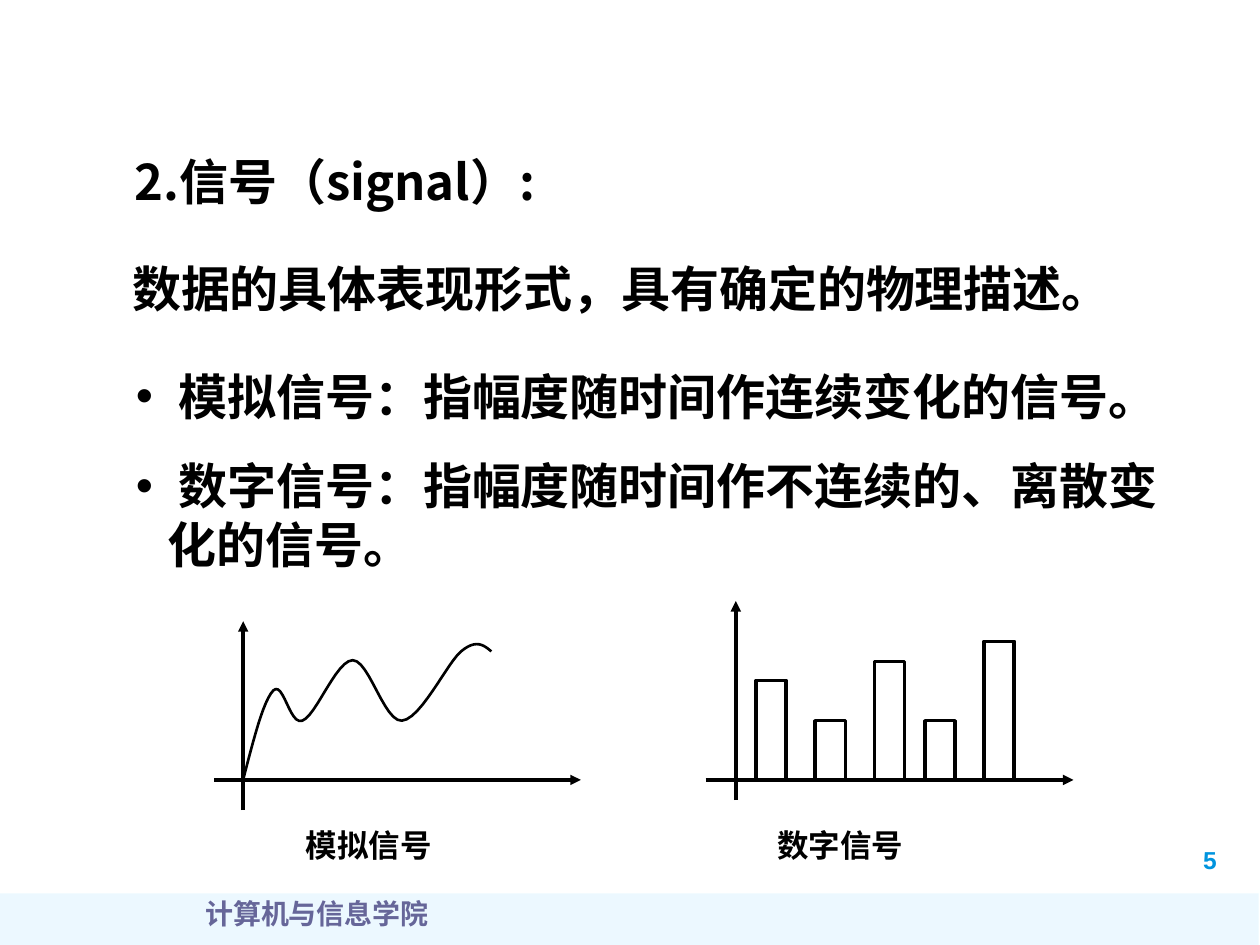
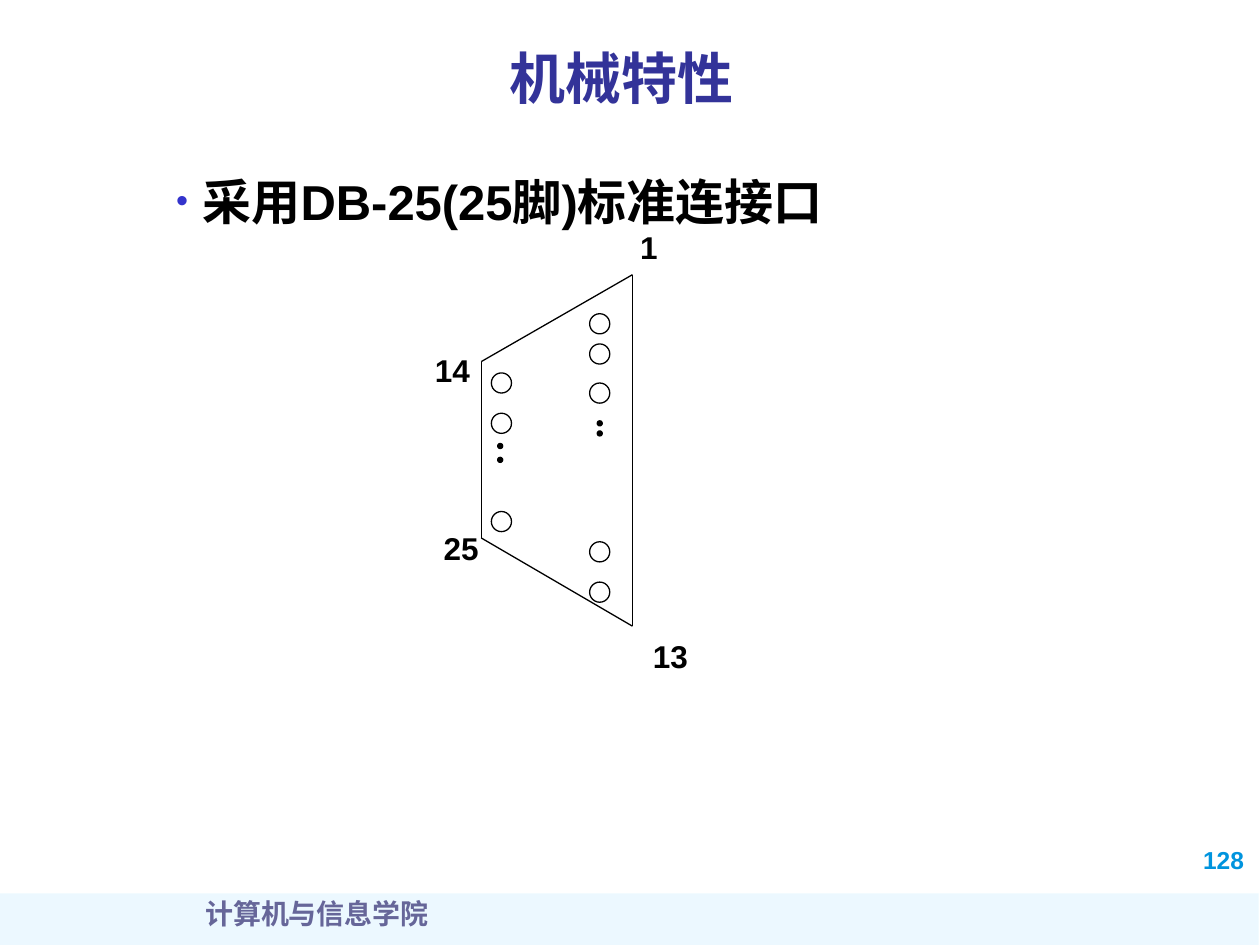
from itertools import pairwise

from lxml.etree import SubElement
from pptx import Presentation
from pptx.dml.color import RGBColor
from pptx.enum.shapes import MSO_CONNECTOR, MSO_SHAPE
from pptx.enum.text import MSO_ANCHOR, PP_ALIGN
from pptx.oxml.ns import qn
from pptx.util import Inches, Pt

COLORS = {"ink": "000000", "paper": "FFFFFF", "band": "A7E2FF", "page": "0094DE",
          "school": "666699", "title": "333399", "bullet": "3333CC"}
CJK, SANS, SERIF = "Noto Sans CJK SC", "Arial", "Times New Roman"
SCHOOL = "计算机与信息学院"

# Signals slide: text, box, bullet
SIGNAL_TEXTS = [
    ("2.信号（signal）:", (0.97, 1.15, 7.56, 0.57), False),
    (" 模拟信号：指幅度随时间作连续变化的信号。", (0.98, 2.86, 9.14, 0.57), True),
    (" 数字信号：指幅度随时间作不连续的、离散变化的信号。", (0.98, 3.57, 8.66, 1.04), True),
    ("数据的具体表现形式，具有确定的物理描述。", (0.95, 2, 8.09, 0.57), False),
]
BASELINE = 6.19
ANALOG_AXES = [((1.7, BASELINE), (4.61, BASELINE)), ((1.93, 6.43), (1.93, 4.93))]
DIGITAL_AXES = [((5.84, 6.35), (5.84, 4.77)), ((5.6, BASELINE), (8.52, BASELINE))]
WAVE_START = (1.93, BASELINE)
WAVE = [  # two control points and an end point for each curve
    ((2.01, 5.88), (2.09, 5.56), (2.17, 5.48)),
    ((2.25, 5.4), (2.3, 5.76), (2.4, 5.72)),
    ((2.51, 5.68), (2.67, 5.24), (2.8, 5.24)),
    ((2.93, 5.24), (3.05, 5.73), (3.19, 5.72)),
    ((3.34, 5.71), (3.55, 5.26), (3.66, 5.17)),
    ((3.78, 5.07), (3.84, 5.12), (3.9, 5.17)),
]
BAR_WIDTH = 0.24
BARS = [(6, 5.4), (6.47, 5.72), (6.94, 5.25), (7.34, 5.72), (7.81, 5.09)]
CAPTIONS = [("模拟信号", 2.33), ("数字信号", 6.07)]

# Connector slide
CORNERS = [(3.82, 2.87), (5.02, 2.18), (5.02, 4.97), (3.82, 4.27)]
PIN_LABELS = [("1", (4.98, 1.76, 0.34, 0.4), 1), ("13", (5.08, 5.01, 0.48, 0.4), 1),
              ("14", (3.35, 2.65, 0.48, 0.49), 1.3), ("25", (3.42, 4.06, 0.48, 0.49), 1.3)]
PIN, DOT = 0.16, 0.04
PIN_COLUMNS = [  # left of the pins, tops of the pins, left of the dots, tops of the dots
    (4.68, [2.49, 2.73, 3.04, 4.3, 4.62], 4.74, [3.34, 3.42]),
    (3.9, [2.96, 3.28, 4.06], 3.95, [3.52, 3.63]),
]


def rgb(name):
    return RGBColor.from_string(COLORS[name])


def set_bullet(p, color="ink", percent=100):
    pPr = p._p.get_or_add_pPr()
    SubElement(SubElement(pPr, qn("a:buClr")), qn("a:srgbClr"), val=COLORS[color])
    SubElement(pPr, qn("a:buSzPct"), val=str(percent * 1000))
    SubElement(pPr, qn("a:buFont"), typeface=SANS)
    SubElement(pPr, qn("a:buChar"), char="•")


def write(sp, text, size, font=SANS, color="ink", wrap=True, hang=0, **paragraph):
    tf = sp.text_frame
    tf.word_wrap = wrap
    tf.vertical_anchor = MSO_ANCHOR.TOP
    p = tf.paragraphs[0]
    for name, value in ({"alignment": PP_ALIGN.LEFT} | paragraph).items():
        setattr(p, name, value)
    if hang:
        pPr = p._p.get_or_add_pPr()
        pPr.set("marL", str(Inches(hang)))
        pPr.set("indent", str(-Inches(hang)))
    r = p.add_run()
    r.text = text
    for name, value in {"size": Pt(size), "bold": True, "name": font}.items():
        setattr(r.font, name, value)
    r.font.color.rgb = rgb(color)
    SubElement(r._r.get_or_add_rPr(), qn("a:ea"), typeface=CJK)
    return p


def add_text(s, box, *args, **formats):
    sp = s.shapes.add_textbox(*map(Inches, box))
    return sp, write(sp, *args, **formats)


def style(sp, fill=None, line=None, width=0.75):
    sp.shadow.inherit = False
    if fill:
        sp.fill.solid()
        sp.fill.fore_color.rgb = rgb(fill)
    else:
        sp.fill.background()
    if line:
        sp.line.color.rgb = rgb(line)
        sp.line.width = Pt(width)
    else:
        sp.line.fill.background()


def add_preset(s, kind, box, *args):
    sp = s.shapes.add_shape(kind, *map(Inches, box))
    style(sp, *args)
    return sp


def add_line(s, start, end, width, arrow=False):
    cx = s.shapes.add_connector(MSO_CONNECTOR.STRAIGHT, *map(Inches, (*start, *end)))
    cx.line.color.rgb = rgb("ink")
    cx.line.width = Pt(width)
    if arrow:
        SubElement(cx.line._get_or_add_ln(), qn("a:tailEnd"), type="triangle")
    SubElement(cx._element.spPr, qn("a:effectLst"))


def add_slide(prs, number):
    """Add a blank slide with the footer band, page number and school name."""
    s = prs.slides.add_slide(prs.slide_layouts[6])
    band = add_preset(s, MSO_SHAPE.RECTANGLE, (-0.01, 7.09, 10, 0.44), "band")
    clr = band._element.spPr.find(qn("a:solidFill"))[0]
    SubElement(clr, qn("a:alpha"), val="21000")
    add_text(s, (9.45, 6.66, 0.59, 0.33), number, 14, color="page")
    add_text(s, (0.27, 7.07, 4.49, 0.5), SCHOOL, 16, SERIF, "school",
             alignment=PP_ALIGN.CENTER)
    return s


def add_title(s, text):
    sp, _ = add_text(s, (1.06, 0.24, 7.75, 0.75), text, 32, SERIF, "title",
                     alignment=PP_ALIGN.CENTER)
    sp.text_frame.vertical_anchor = MSO_ANCHOR.MIDDLE


def wave_points(steps=12):
    """Yield points, in EMU, along the chain of cubic curves."""
    start = WAVE_START
    for c1, c2, end in WAVE:
        for i in range(1, steps + 1):
            t = i / steps
            u = 1 - t
            yield tuple(Inches(u**3 * a + 3 * u * u * t * b + 3 * u * t * t * c + t**3 * d)
                        for a, b, c, d in zip(start, c1, c2, end))
        start = end


def add_wave(s):
    fb = s.shapes.build_freeform(*map(Inches, WAVE_START))
    fb.add_line_segments(list(wave_points()), close=False)
    style(fb.convert_to_shape(), None, "ink", 1.5)


def build_signals(prs):
    s = add_slide(prs, "5")
    for text, box, bulleted in SIGNAL_TEXTS:
        _, p = add_text(s, box, text, 28, CJK, hang=0.25 if bulleted else 0)
        if bulleted:
            set_bullet(p)
    for left, top in BARS:
        add_preset(s, MSO_SHAPE.RECTANGLE, (left, top, BAR_WIDTH, BASELINE - top),
                   "paper", "ink", 2)
    for start, end in ANALOG_AXES + DIGITAL_AXES:
        add_line(s, start, end, 2, arrow=True)
    add_wave(s)
    for text, left in CAPTIONS:
        sp = add_preset(s, MSO_SHAPE.RECTANGLE, (left, 6.51, 2.28, 0.4), "paper", "paper", 2)
        write(sp, text, 18)


def build_connector(prs):
    s = add_slide(prs, "128")
    add_title(s, "机械特性")
    _, p = add_text(s, (1.3, 1.31, 8.08, 0.57), "采用DB-25(25脚)标准连接口", 28,
                    hang=0.21, alignment=PP_ALIGN.JUSTIFY)
    set_bullet(p, "bullet", 70)
    for start, end in pairwise(CORNERS + CORNERS[:1]):
        add_line(s, start, end, 0.75)
    for text, box, spacing in PIN_LABELS:
        add_text(s, box, text, 18, wrap=False, alignment=PP_ALIGN.CENTER,
                 line_spacing=spacing)
    for pin_left, pin_tops, dot_left, dot_tops in PIN_COLUMNS:
        for top in pin_tops:
            add_preset(s, MSO_SHAPE.OVAL, (pin_left, top, PIN, PIN), None, "ink")
        for top in dot_tops:
            add_preset(s, MSO_SHAPE.OVAL, (dot_left, top, DOT, DOT), "ink", "ink")


def main():
    prs = Presentation()
    prs.slide_width, prs.slide_height = Inches(10), Inches(7.5)
    build_signals(prs)
    build_connector(prs)
    prs.save("out.pptx")


if __name__ == "__main__":
    main()
